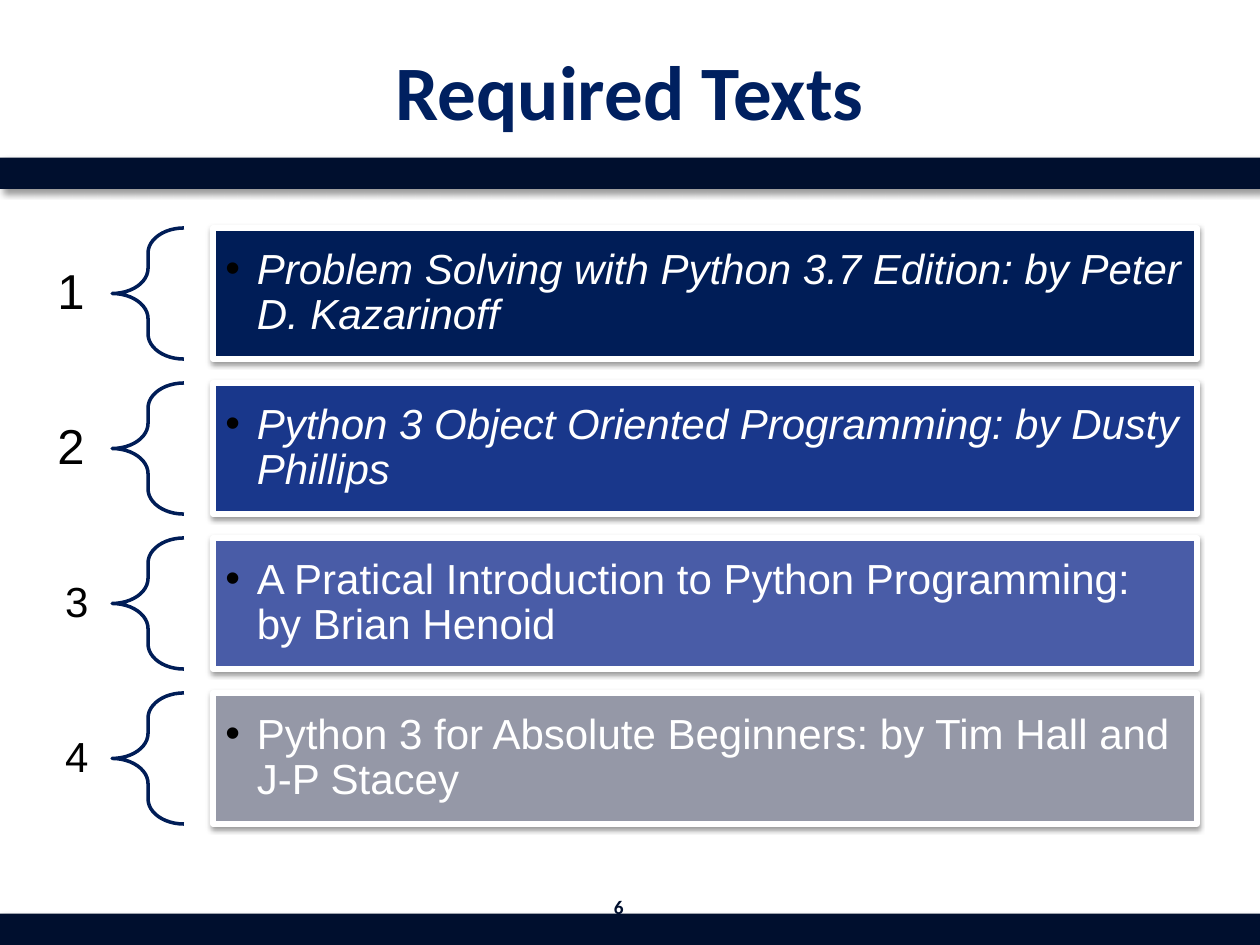
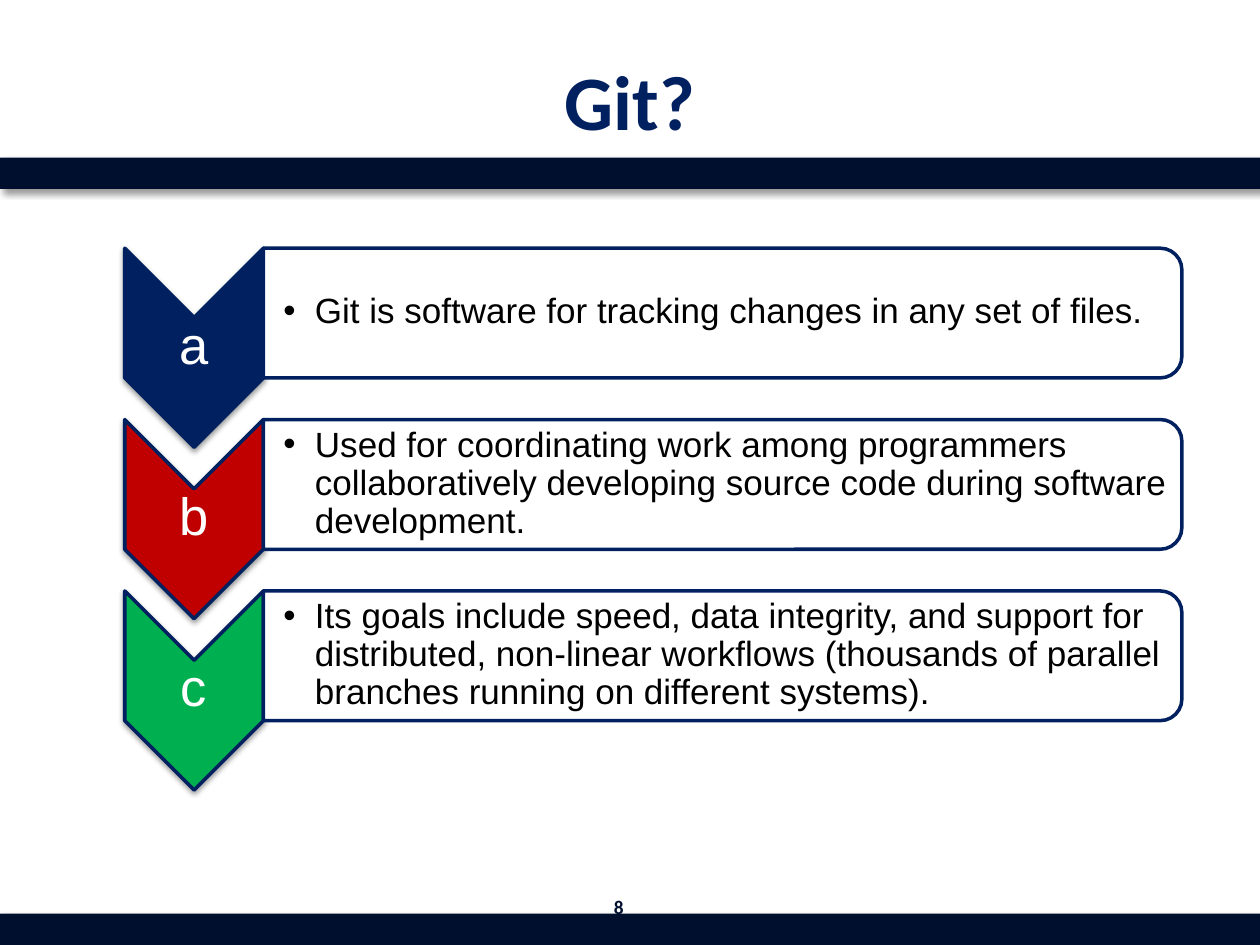
from lxml.etree import SubElement
from pptx import Presentation
from pptx.dml.color import RGBColor
from pptx.enum.shapes import MSO_SHAPE
from pptx.enum.text import MSO_ANCHOR, MSO_AUTO_SIZE, PP_ALIGN
from pptx.oxml.ns import qn
from pptx.util import Inches, Pt

# Content
BOOKS = [
    # number, number size, text, italic, fill
    ("1", 28, "Problem Solving with Python 3.7 Edition: by Peter D. Kazarinoff", True, "deep"),
    ("2", 28, "Python 3 Object Oriented Programming: by Dusty Phillips", True, "royal"),
    ("3", 24, "A Pratical Introduction to Python Programming: by Brian Henoid", False, "slate"),
    ("4", 24, "Python 3 for Absolute Beginners: by Tim Hall and J-P Stacey", False, "grey"),
]
GIT_POINTS = [
    ("a", "Git is software for tracking changes in any set of files.", "navy"),
    ("b", "Used for coordinating work among programmers collaboratively "
          "developing source code during software development.", "red"),
    ("c", "Its goals include speed, data integrity, and support for distributed, "
          "non-linear workflows (thousands of parallel branches running on "
          "different systems).", "green"),
]

# Shared look
COLORS = {
    "band": "000F2E", "navy": "002060", "deep": "001D57", "royal": "19378B",
    "slate": "495CA7", "grey": "9598A7", "red": "C00000", "green": "00B050",
    "white": "FFFFFF", "black": "000000",
}
BAND_TOPS = (7.25, 1.25)
BAND_SHADOW = {"alpha": 40, "blur": 4, "distance": 3, "angle": 45}
SOFT_SHADOW = {"alpha": 38, "blur": 3.1, "distance": 1.6, "angle": 90}


def color(name):
    return RGBColor.from_string(COLORS[name])


def add_shadow(shape, alpha, blur, distance, angle):
    effects = shape._element.spPr.find(qn("a:effectLst"))
    shadow = SubElement(effects, qn("a:outerShdw"), blurRad=str(Pt(blur)),
                        dist=str(Pt(distance)), dir=str(angle * 60000),
                        algn="ctr", rotWithShape="0")
    tint = SubElement(shadow, qn("a:srgbClr"), val=COLORS["black"])
    SubElement(tint, qn("a:alpha"), val=str(alpha * 1000))


def add_shape(page, kind, left, top, width, height, fill=None, line=None,
              weight=2, shadow=None, rotation=0):
    shape = page.shapes.add_shape(kind, Inches(left), Inches(top),
                                  Inches(width), Inches(height))
    shape.rotation = rotation
    shape.shadow.inherit = False
    if fill:
        shape.fill.solid()
        shape.fill.fore_color.rgb = color(fill)
    else:
        shape.fill.background()
    if line:
        shape.line.color.rgb = color(line)
        shape.line.width = Pt(weight)
    else:
        shape.line.fill.background()
    if shadow:
        add_shadow(shape, **shadow)
    return shape


def add_bullet(para):
    props = para._p.get_or_add_pPr()
    props.set("marL", str(Inches(0.25)))
    props.set("indent", str(Inches(-0.25)))
    tint = SubElement(props, qn("a:buClr"))
    SubElement(tint, qn("a:srgbClr"), val=COLORS["black"])
    SubElement(props, qn("a:buFont"), typeface="Arial")
    SubElement(props, qn("a:buChar"), char="•")


def write(shape, text, size, tint="black", font="Arial", bold=False, italic=False,
          align=PP_ALIGN.LEFT, insets=(0.1, 0.05, 0.1, 0.05), spacing=0.9, bullet=False):
    frame = shape.text_frame
    frame.word_wrap = True
    frame.auto_size = MSO_AUTO_SIZE.NONE
    frame.vertical_anchor = MSO_ANCHOR.MIDDLE
    (frame.margin_left, frame.margin_top,
     frame.margin_right, frame.margin_bottom) = map(Inches, insets)
    para = frame.paragraphs[0]
    if bullet:
        add_bullet(para)
    para.alignment = align
    para.line_spacing = spacing
    span = para.add_run()
    span.text = text
    span.font.name = font
    span.font.size = Pt(size)
    span.font.bold = bold
    span.font.italic = italic
    span.font.color.rgb = color(tint)


def add_text(page, text, left, top, width, height, **style):
    box = page.shapes.add_textbox(Inches(left), Inches(top), Inches(width), Inches(height))
    write(box, text, **style)


def add_page(deck, title, title_top, number):
    page = deck.slides.add_slide(deck.slide_layouts[5])
    for top in BAND_TOPS:
        add_shape(page, MSO_SHAPE.RECTANGLE, 0, top, 10, 0.25,
                  fill="band", shadow=BAND_SHADOW)
    heading = page.shapes.title
    heading.left, heading.top = Inches(0.5), Inches(title_top)
    heading.width, heading.height = Inches(9), Inches(1.25)
    centred = {"font": "Calibri", "bold": True, "align": PP_ALIGN.CENTER, "spacing": 1.0}
    write(heading, title, 44, "navy", **centred)
    add_text(page, number, 4.7, 7, 0.42, 0.4, size=11, tint="band", **centred)
    return page


def build_books(deck):
    page = add_page(deck, "Required Texts", 0.09, "6")
    first_top, step, height = 1.81, 1.23, 1.04
    for index, (number, size, text, italic, fill) in enumerate(BOOKS):
        top = first_top + index * step
        side = size / 128  # side inset grows with the number size
        add_text(page, number, 0, top, 0.89, height, size=size,
                 align=PP_ALIGN.RIGHT, insets=(0, 0.08, side, 0.08))
        brace = add_shape(page, MSO_SHAPE.LEFT_BRACE, 0.89, top, 0.57, height, line="deep")
        brace.adjustments[0] = 0.35
        card = add_shape(page, MSO_SHAPE.RECTANGLE, 1.69, top, 7.81, height, fill=fill,
                         line="white", weight=3, shadow=SOFT_SHADOW)
        write(card, text, 24, "white", italic=italic, insets=(0.1,) * 4, bullet=True)


def build_git(deck):
    page = add_page(deck, "Git?", 0.17, "8")
    first_top, step = 1.97, 1.36
    arrow_length, arrow_width = 1.58, 1.1
    panel_left, panel_width, panel_height = 2.09, 7.29, 1.03
    for index, (letter, text, fill) in enumerate(GIT_POINTS):
        top = first_top + index * step
        # Shapes turned by 90 degrees are placed around their centres
        turn = (arrow_length - arrow_width) / 2
        add_shape(page, MSO_SHAPE.CHEVRON, 0.99 - turn, top + turn, arrow_length,
                  arrow_width, fill=fill, line="navy", shadow=SOFT_SHADOW, rotation=90)
        add_text(page, letter, 0.99, top + 0.55, arrow_width, 0.47, size=30, tint="white",
                 align=PP_ALIGN.CENTER, insets=(0.02,) * 4)
        turn = (panel_width - panel_height) / 2
        add_shape(page, MSO_SHAPE.ROUND_2_SAME_RECTANGLE, panel_left + turn, top - turn,
                  panel_height, panel_width, fill="white", line="navy", rotation=90)
        add_text(page, text, panel_left, top + 0.05, 7.24, 0.92, size=20,
                 insets=(0.16, 0.01, 0.01, 0.01), bullet=True)


def main():
    deck = Presentation()
    deck.slide_width, deck.slide_height = Inches(10), Inches(7.5)
    build_books(deck)
    build_git(deck)
    deck.save("out.pptx")


if __name__ == "__main__":
    main()
